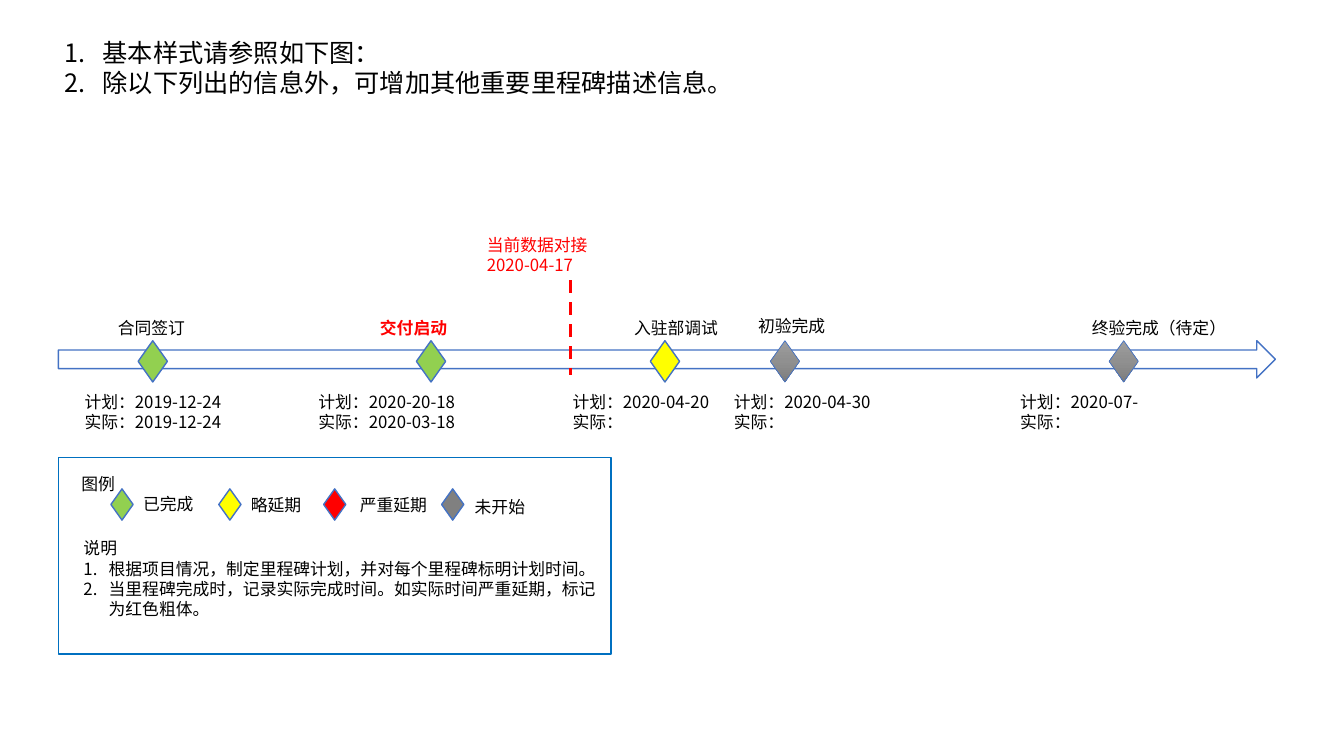
"""Project milestone timeline with a legend and notes."""
from copy import deepcopy

from lxml import etree
from pptx import Presentation
from pptx.dml.color import RGBColor
from pptx.enum.dml import MSO_LINE
from pptx.enum.shapes import MSO_CONNECTOR, MSO_SHAPE
from pptx.enum.text import MSO_AUTO_SIZE
from pptx.oxml.ns import qn
from pptx.util import Inches, Pt

COLUMNS, ROWS = 13.33, 7.5  # grid of one-inch cells
COLORS = {
    "text": "000000", "outline": "4472C4", "frame": "0070C0",
    "done": "92D050", "late": "FFFF00", "alert": "FF0000", "idle": "808080",
}
PENDING = ("9D9D9D", "909090", "7C7C7C")
FONT = "Noto Sans CJK SC"
LINE_HEIGHT = 1.2


def rgb(name):
    """Return the colour for a palette name."""
    return RGBColor.from_string(COLORS[name])


class TimelineSlide:
    """Holds the style and the slide, and draws each kind of element."""

    def __init__(self, prs):
        """Add a blank slide and work out the grid cell."""
        self.slide = prs.slides.add_slide(prs.slide_layouts[6])
        self.shapes = self.slide.shapes
        self.column = prs.slide_width / COLUMNS
        self.row = prs.slide_height / ROWS

    def place(self, x, y, w, h):
        """Turn columns and rows into slide lengths."""
        return (round(x * self.column), round(y * self.row),
                round(w * self.column), round(h * self.row))

    def shape(self, kind, box, fill=None, line="outline", weight=1):
        """Draw a preset shape, hollow unless a fill is named."""
        shape = self.shapes.add_shape(kind, *self.place(*box))
        shape.shadow.inherit = False
        if fill == "pending":
            self.shade(shape)
        elif fill:
            shape.fill.solid()
            shape.fill.fore_color.rgb = rgb(fill)
        else:
            shape.fill.background()
        shape.line.color.rgb = rgb(line)
        shape.line.width = Pt(weight)

    def shade(self, shape):
        """Fill a shape with the three-stop grey gradient, top to bottom."""
        shape.fill.gradient()
        shape.fill.gradient_angle = 270
        stop_list = shape.element.spPr.find(qn("a:gradFill")).find(qn("a:gsLst"))
        stop_list.insert(1, deepcopy(stop_list[0]))
        for i, (stop, color) in enumerate(zip(shape.fill.gradient_stops, PENDING)):
            stop.position = i / 2
            stop.color.rgb = RGBColor.from_string(color)

    def diamond(self, x, y, fill, w=0.29, h=0.41):
        """Draw a status diamond."""
        weight = 0.5 if fill == "pending" else 1
        self.shape(MSO_SHAPE.FLOWCHART_DECISION, (x, y, w, h), fill, weight=weight)

    def dashed_line(self, x, top, bottom):
        """Draw the vertical marker of the current date."""
        start, end = self.place(x, top, x, bottom)[:2], self.place(x, bottom, 0, 0)[:2]
        line = self.shapes.add_connector(MSO_CONNECTOR.STRAIGHT, *start, *end)
        line.line.color.rgb = rgb("alert")
        line.line.width = Pt(2.25)
        line.line.dash_style = MSO_LINE.DASH
        etree.SubElement(line.element.spPr, qn("a:effectLst"))

    def text(self, box, lines, size=12, color="text", bold=False,
             indent=0.25, numbered_from=None):
        """Write lines of text; those from numbered_from on are numbered."""
        frame = self.shapes.add_textbox(*self.place(*box)).text_frame
        frame.word_wrap = True
        frame.auto_size = MSO_AUTO_SIZE.SHAPE_TO_FIT_TEXT
        for i, line in enumerate(lines):
            par = frame.paragraphs[0] if i == 0 else frame.add_paragraph()
            par.line_spacing = Pt(size * LINE_HEIGHT)
            run = par.add_run()
            run.text = line
            run.font.size, run.font.bold, run.font.name = Pt(size), bold, FONT
            run.font.color.rgb = rgb(color)
            etree.SubElement(run.font._element, qn("a:ea"), typeface=FONT)
            if numbered_from is not None and i >= numbered_from:
                self.number(par, indent)

    def number(self, par, indent):
        """Give a paragraph an automatic number and a hanging indent."""
        props = par._p.get_or_add_pPr()
        props.set("marL", str(Inches(indent)))
        props.set("indent", str(-Inches(indent)))
        etree.SubElement(props, qn("a:buFont"), typeface="+mj-lt")
        etree.SubElement(props, qn("a:buAutoNum"), type="arabicPeriod")


# diamond x, status, label (x, y), label, dates x, planned, actual
MILESTONES = [
    (1.37, "done", (1.07, 3.1), "合同签订", 0.74, "2019-12-24", "2019-12-24"),
    (4.13, "done", (3.67, 3.1), "交付启动", 3.06, "2020-20-18", "2020-03-18"),
    (6.45, "late", (6.19, 3.1), "入驻部调试", 5.58, "2020-04-20", ""),
    (7.64, "pending", (7.42, 3.08), "初验完成", 7.18, "2020-04-30", ""),
    (11, "pending", (10.73, 3.1), "终验完成（待定）", 10.02, "2020-07-", ""),
]
SEVERELY_LATE = "交付启动"
# diamond x, status, label (x, y), label
LEGEND = [
    (1.1, "done", (1.32, 4.85), "已完成"),
    (2.17, "late", (2.39, 4.86), "略延期"),
    (3.21, "alert", (3.47, 4.86), "严重延期"),
    (4.38, "idle", (4.61, 4.88), "未开始"),
]


def draw_timeline(page):
    """Draw the arrow, its milestones and the current date."""
    page.shape(MSO_SHAPE.RIGHT_ARROW, (0.58, 3.38, 12.07, 0.37))
    for x, status, label_at, label, dates_x, planned, actual in MILESTONES:
        page.diamond(x, 3.38, status)
        late = label == SEVERELY_LATE
        page.text((*label_at, 2.31, 0.3), [label],
                  color="alert" if late else "text", bold=late)
        page.text((dates_x, 3.84, 2.31, 0.5), [f"计划：{planned}", f"实际：{actual}"])
    page.dashed_line(5.66, 2.78, 3.72)
    page.text((4.73, 2.28, 2.31, 0.5), ["当前数据对接", "2020-04-17"], color="alert")


def draw_legend(page):
    """Draw the framed legend and the notes under it."""
    page.shape(MSO_SHAPE.RECTANGLE, (0.58, 4.54, 5.48, 1.95), line="frame")
    page.text((0.71, 4.65, 0.56, 0.3), ["图例"])
    for x, status, label_at, label in LEGEND:
        page.diamond(x, 4.85, status, 0.22, 0.31)
        page.text((*label_at, 1.08, 0.3), [label])
    page.text((0.73, 5.29, 5.33, 0.91), [
        "说明",
        "根据项目情况，制定里程碑计划，并对每个里程碑标明计划时间。",
        "当里程碑完成时，记录实际完成时间。如实际时间严重延期，标记为红色粗体。",
    ], numbered_from=1)


def main():
    """Build and save the presentation."""
    prs = Presentation()
    prs.slide_width, prs.slide_height = Inches(COLUMNS), Inches(ROWS)
    page = TimelineSlide(prs)
    page.text((0.54, 0.32, 12.15, 0.71), [
        "基本样式请参照如下图：",
        "除以下列出的信息外，可增加其他重要里程碑描述信息。",
    ], size=18, indent=0.38, numbered_from=0)
    draw_timeline(page)
    draw_legend(page)
    prs.save("out.pptx")


main()
